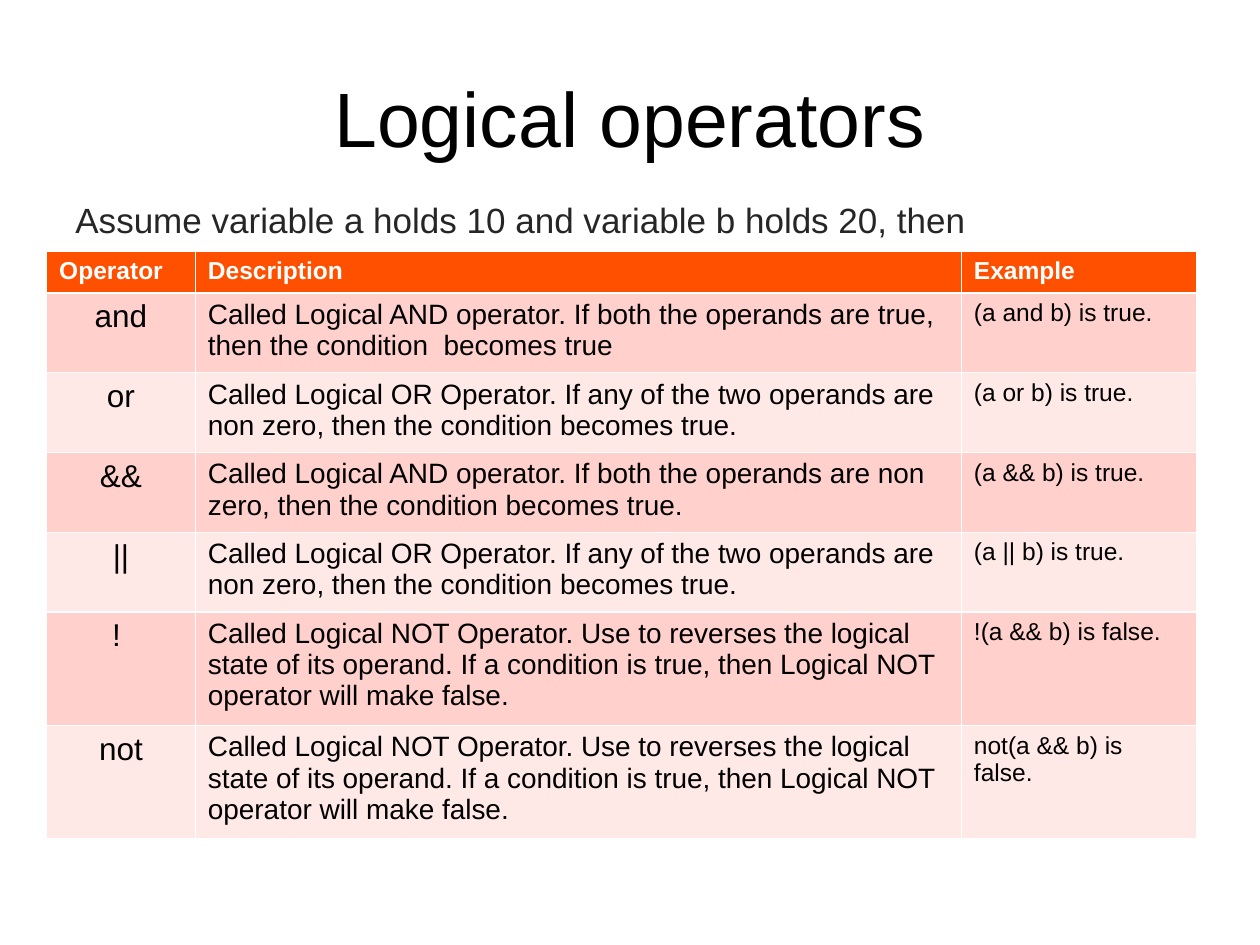
from typing import Any, NamedTuple

from pptx import Presentation
from pptx import util as u
from pptx.dml.color import RGBColor
from pptx.enum import text

BLACK = RGBColor(0x00, 0x00, 0x00)
WHITE = RGBColor(0xFF, 0xFF, 0xFF)
GREY = RGBColor(0x26, 0x26, 0x26)
ORANGE = RGBColor(0xFF, 0x50, 0x00)
BANDS = (RGBColor(0xFF, 0xD0, 0xCC), RGBColor(0xFF, 0xE9, 0xE7))

LEFT, CENTER = text.PP_ALIGN.LEFT, text.PP_ALIGN.CENTER
COL_WIDTHS = (1.18, 6.08, 1.87)
ROW_HEIGHTS = (0.29, 0.51) + (0.63,) * 5
BODY_STYLES = ((18, CENTER), (16, LEFT), (14, LEFT))  # size and alignment by column


class Operator(NamedTuple):
    symbol: str
    description: str
    example: str


HEADINGS = Operator("Operator", "Description", "Example")
OR_TEXT = ("Called Logical OR Operator. If any of the two operands are non zero, "
           "then the condition becomes true.")
NOT_TEXT = ("Called Logical NOT Operator. Use to reverses the logical state of its operand. "
            "If a condition is true, then Logical NOT operator will make false.")
OPERATORS = (
    Operator("and", "Called Logical AND operator. If both the operands are true, "
             "then the condition  becomes true", "(a and b) is true."),
    Operator("or", OR_TEXT, "(a or b) is true."),
    Operator("&&", "Called Logical AND operator. If both the operands are non zero, "
             "then the condition becomes true.", "(a && b) is true."),
    Operator("||", OR_TEXT, "(a || b) is true."),
    Operator("! ", NOT_TEXT, "!(a && b) is false."),
    Operator("not", NOT_TEXT, "not(a && b) is false."),
)


def place(sp: Any, left: float, top: float, width: float, height: float) -> None:
    box = {"left": left, "top": top, "width": width, "height": height}
    for name, value in box.items():
        setattr(sp, name, u.Inches(value))


def write(tf: Any, words: str, size: int, color: RGBColor,
          align: Any = LEFT, bold: bool = False) -> Any:
    """Fill the first paragraph with one formatted run and return the paragraph."""
    p = tf.paragraphs[0]
    p.alignment = align
    r = p.add_run()
    r.text = words
    for name, value in {"name": "Arial", "size": u.Pt(size), "bold": bold}.items():
        setattr(r.font, name, value)
    r.font.color.rgb = color
    return p


def fill_cell(cell: Any, color: RGBColor) -> None:
    cell.fill.solid()
    cell.fill.fore_color.rgb = color


def add_operator_table(s: Any) -> None:
    table = s.shapes.add_table(
        len(OPERATORS) + 1, len(COL_WIDTHS), u.Inches(0.37), u.Inches(1.99),
        u.Inches(sum(COL_WIDTHS)), u.Inches(sum(ROW_HEIGHTS))).table
    for column, width in zip(table.columns, COL_WIDTHS):
        column.width = u.Inches(width)
    for row, height in zip(table.rows, ROW_HEIGHTS):
        row.height = u.Inches(height)

    # Header row
    for cell, heading in zip(table.rows[0].cells, HEADINGS):
        fill_cell(cell, ORANGE)
        write(cell.text_frame, heading, 14, WHITE, bold=True)

    # One banded row per operator
    for i, operator in enumerate(OPERATORS):
        cells = table.rows[i + 1].cells
        for cell, words, (size, align) in zip(cells, operator, BODY_STYLES):
            fill_cell(cell, BANDS[i % 2])
            write(cell.text_frame, words, size, BLACK, align)


def main() -> None:
    prs = Presentation()
    prs.slide_width, prs.slide_height = u.Inches(10), u.Inches(7.5)
    s = prs.slides.add_slide(prs.slide_layouts[5])

    # Title
    title = s.shapes.title
    place(title, 0.5, 0.3, 9, 1.25)
    title.text_frame.vertical_anchor = text.MSO_ANCHOR.MIDDLE
    write(title.text_frame, "Logical operators", 44, BLACK, CENTER)

    # Introduction
    intro = s.shapes.add_textbox(0, 0, 0, 0)
    place(intro, 0.5, 1.36, 9.13, 3.58)
    intro.text_frame.word_wrap = True
    p = write(intro.text_frame, "Assume variable a holds 10 and variable b holds 20, then", 20, GREY)
    p.line_spacing = 1.5
    p.space_before = u.Pt(4)

    add_operator_table(s)
    prs.save("out.pptx")


if __name__ == "__main__":
    main()
